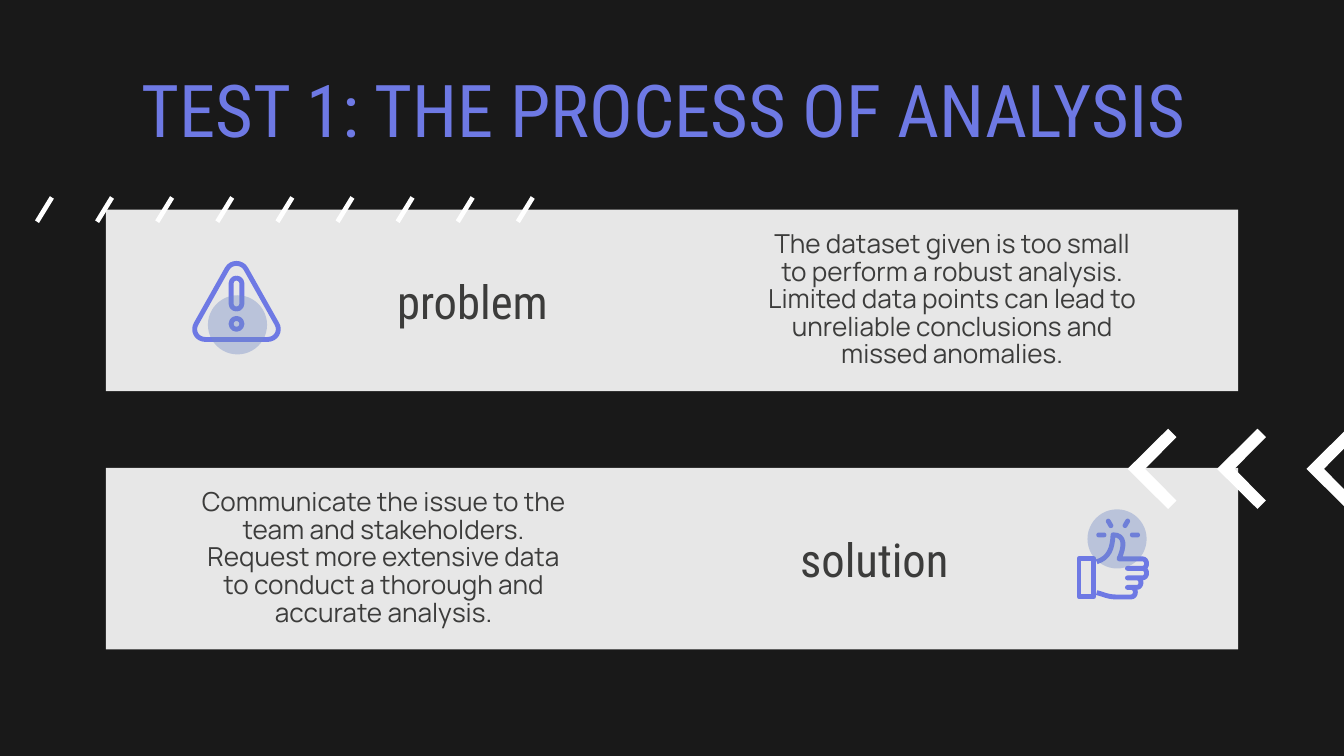
"""Build the problem and solution slide."""
from lxml import etree
from pptx import Presentation
from pptx import util as u
from pptx.dml.color import RGBColor
from pptx.enum import shapes, text
from pptx.oxml import ns

Pt = u.Pt
KIND = shapes.MSO_SHAPE
VIOLET, INK, WHITE = "6E79E4", "3C3C3B", "FFFFFF"


def paint(fill, color):
    fill.solid()
    fill.fore_color.rgb = RGBColor.from_string(color)


def add_text(slide, words, left, top, width, height, font="Roboto Condensed", size=25, color=INK, spacing=1.0):
    frame = slide.shapes.add_textbox(Pt(left), Pt(top), Pt(width), Pt(height)).text_frame
    frame.word_wrap = True
    frame.vertical_anchor = text.MSO_ANCHOR.MIDDLE
    frame.margin_left = frame.margin_right = frame.margin_top = frame.margin_bottom = Pt(7.2)
    paragraph = frame.paragraphs[0]
    paragraph.alignment = text.PP_ALIGN.CENTER
    paragraph.line_spacing = spacing
    run = paragraph.add_run()
    run.text = words
    run.font.name, run.font.size = font, Pt(size)
    paint(run.font.fill, color)


presentation = Presentation()
presentation.slide_width, presentation.slide_height = Pt(720), Pt(405)
slide = presentation.slides.add_slide(presentation.slide_layouts[6])
paint(slide.background.fill, "191919")

for top in (250.7, 112.3):
    card = slide.shapes.add_shape(KIND.RECTANGLE, Pt(56.7), Pt(top), Pt(606.6), Pt(97.2))
    paint(card.fill, "E7E7E7")
    card.line.fill.background()

add_text(slide, "TEST 1: THE PROCESS OF ANALYSIS ", 56.7, 35.3, 606.6, 45.4, size=39, color=VIOLET)
add_text(slide, "problem", 144.7, 139.7, 216.7, 42.5)
add_text(slide, "solution", 360, 278, 216.7, 42.5)
for words, left, top in (
    ("The dataset given is too small to perform a robust analysis. "
     "Limited data points can lead to unreliable conclusions and missed anomalies.", 401.8, 121.7),
    ("Communicate the issue to the team and stakeholders. "
     "Request more extensive data to conduct a thorough and accurate analysis.", 97.2, 260),
):
    add_text(slide, words, left, top, 216.7, 78.5, font="Manrope", size=14, spacing=0.88)

# Each step is a line end (2 numbers) or a cubic curve (6 numbers)
warning_triangle = [
    (121.7, 144), (123.8, 140.2, 129.5, 140.2, 131.7, 144), (148.3, 173.5),
    (150.5, 177.3, 148, 181.9, 143.3, 181.9), (110.1, 181.9), (105.4, 181.9, 102.9, 177.3, 105.1, 173.5),
]
thumb = [
    (587.5, 301), (594, 299, 596, 294, 596.3, 286.5), (603, 286.5, 602.5, 293, 599.5, 299.4), (612, 299.4),
]
for right, top in ((612, 299.4), (612, 304.5), (609, 309.6), (606, 314.7)):
    bottom = top + 5.1
    thumb += [(right, top), (right + 3, top, right + 3, bottom, right, bottom), (604, bottom)]
thumb += [(597.6, 319.8), (593.5, 319.8, 591, 318.3, 587.5, 317.5)]

outlines = []
for steps, closed in ((thumb, False), (warning_triangle, True)):
    points = [steps[0]]
    for step in steps[1:]:
        if len(step) == 2:
            points.append(step)
            continue
        curve = points[-1] + step
        for part in range(1, 9):
            t = part / 8
            weights = ((1 - t) ** 3, 3 * t * (1 - t) ** 2, 3 * t ** 2 * (1 - t), t ** 3)
            points.append(tuple(sum(w * c for w, c in zip(weights, curve[axis::2])) for axis in (0, 1)))
    builder = slide.shapes.build_freeform(Pt(points[0][0]), Pt(points[0][1]))
    builder.add_line_segments([(Pt(x), Pt(y)) for x, y in points[1:]], close=closed)
    outlines.append(builder.convert_to_shape())

for kind, left, top, width, height in (
    (KIND.RECTANGLE, 578.1, 299.4, 8, 20.3),
    (KIND.ROUNDED_RECTANGLE, 123.8, 149, 5.8, 16.6),
    (KIND.OVAL, 123.8, 170.6, 5.8, 5.8),
):
    shape = slide.shapes.add_shape(kind, Pt(left), Pt(top), Pt(width), Pt(height))
    if kind == KIND.ROUNDED_RECTANGLE:
        shape.adjustments[0] = 0.5
    outlines.append(shape)

for shape in outlines:
    shape.fill.background()
    paint(shape.line.fill, VIOLET)
    shape.line.width = Pt(2.6)
    etree.SubElement(shape.line._get_or_add_ln(), ns.qn("a:round"))

for center_x, center_y, angle in ((590, 286.6, 0), (608, 286.6, 0), (594.4, 280.4, 60), (603.4, 280.4, -60)):
    ray = slide.shapes.add_shape(KIND.ROUNDED_RECTANGLE, Pt(center_x - 2.7), Pt(center_y - 1.3), Pt(5.4), Pt(2.6))
    ray.adjustments[0] = 0.5
    ray.rotation = angle
    paint(ray.fill, VIOLET)
    ray.line.fill.background()

for left, top in ((582.6, 272.9), (111.4, 158.2)):
    circle = slide.shapes.add_shape(KIND.OVAL, Pt(left), Pt(top), Pt(31.7), Pt(31.7))
    paint(circle.fill, "718AC6")
    color = circle.fill._xPr.find(".//" + ns.qn("a:srgbClr"))
    etree.SubElement(color, ns.qn("a:alpha"), val="38000")
    circle.line.fill.background()

slash = [(8, 0), (0, 13), (2.1, 14.4), (10.1, 1.4)]
chevron = [(21.7, 0), (0, 21.5), (21.7, 43), (26.2, 38.5), (9.4, 21.5), (26.2, 4.5)]
for corners, left, top, gap, count in ((slash, 18.8, 105.1, 32.2, 9), (chevron, 604.1, 229.7, 47.9, 3)):
    for index in range(count):
        points = [(Pt(left + index * gap + x), Pt(top + y)) for x, y in corners]
        builder = slide.shapes.build_freeform(*points[0])
        builder.add_line_segments(points[1:])
        mark = builder.convert_to_shape()
        paint(mark.fill, WHITE)
        mark.line.fill.background()

for shape in slide.shapes:
    shape.shadow.inherit = False

presentation.save("out.pptx")
